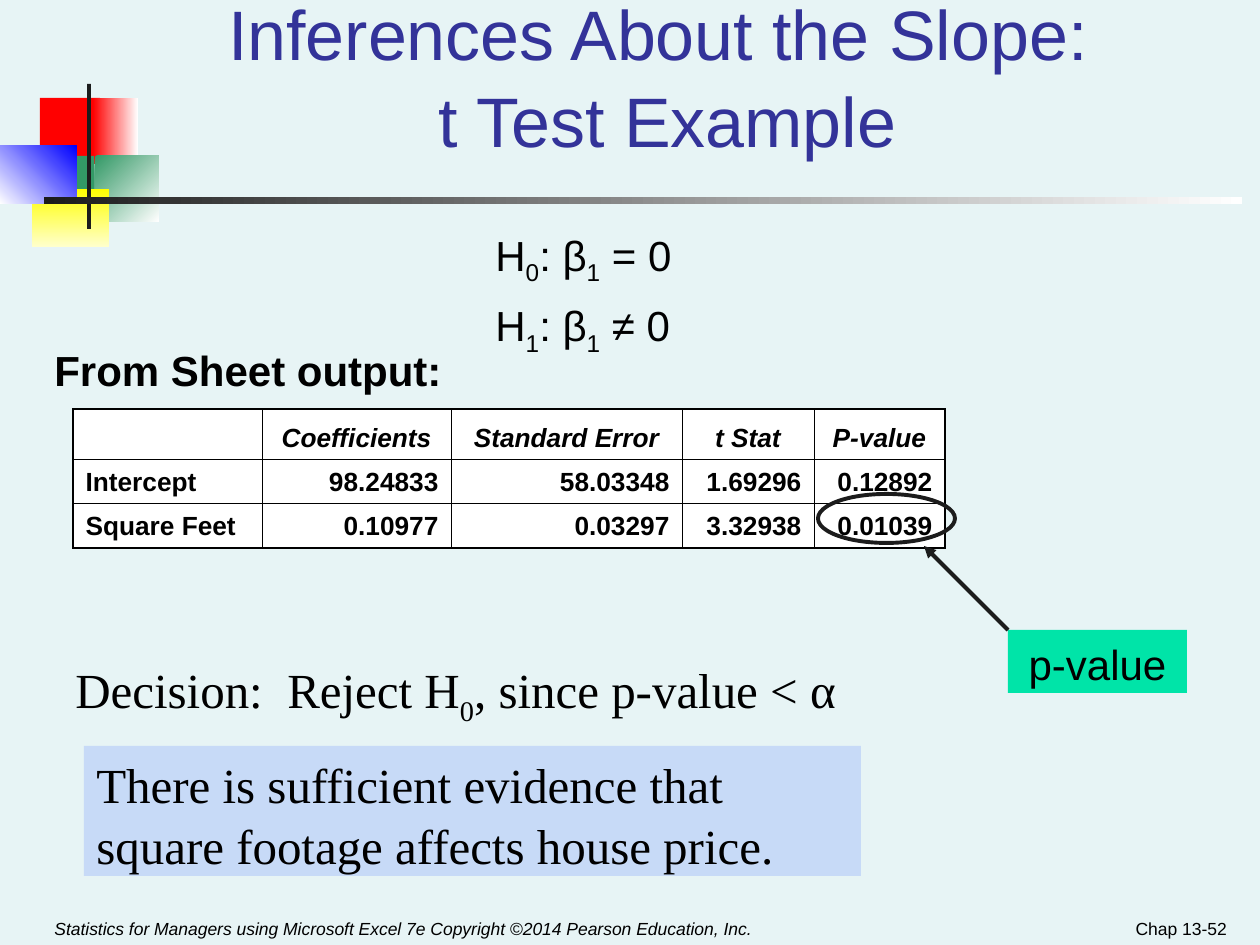
import lxml.etree
import pptx
import pptx.dml.color
import pptx.enum.shapes
import pptx.enum.text
import pptx.oxml
import pptx.oxml.ns
import pptx.util

PX = 914400 / 126
COLORS = {
    "background": "E7F4F5", "title": "333399", "text": "000000", "dark": "1C1C1C",
    "white": "FFFFFF", "red": "FF0000", "green": "339966", "yellow": "FFFF00",
    "cream": "FFFFCC", "blue": "0000FF", "mint": "00E4A8", "pale blue": "C7DAF7",
}
RGB = {name: pptx.dml.color.RGBColor.from_string(code) for name, code in COLORS.items()}
ALIGN = pptx.enum.text.PP_ALIGN
ANCHOR = pptx.enum.text.MSO_ANCHOR
SHAPE = pptx.enum.shapes.MSO_SHAPE


def box(*px):
    """Turn pixel lengths into EMU."""
    return [pptx.util.Emu(round(n * PX)) for n in px]


def write(tf, text, size=24, font="Arial", color="text", bold=False, italic=False,
          align=ALIGN.LEFT, anchor=ANCHOR.TOP, before=0, spacing=1.04):
    """Fill a text frame: \\n starts a paragraph, \\v breaks a line, ~x~ is a subscript."""
    tf.word_wrap = True
    tf.vertical_anchor = anchor
    for i, line in enumerate(text.split("\n")):
        p = tf.add_paragraph() if i else tf.paragraphs[0]
        p.alignment = align
        p.line_spacing = spacing
        p.space_before = pptx.util.Pt(before if i else 0)
        for j, row in enumerate(line.split("\v")):
            if j:
                p.add_line_break()
            for k, part in enumerate(row.split("~")):
                r = p.add_run()
                r.text = part
                r.font.size = pptx.util.Pt(size)
                r.font.name = font
                r.font.bold = bold
                r.font.italic = italic
                r.font.color.rgb = RGB[color]
                if k % 2:
                    r.font._element.set("baseline", "-25000")


prs = pptx.Presentation()
prs.slide_width, prs.slide_height = box(1260, 945)
s = prs.slides.add_slide(prs.slide_layouts[6])
s.background.fill.solid()
s.background.fill.fore_color.rgb = RGB["background"]

# Filled rectangles: position, fill colours (two make a gradient), gradient angle
ornaments = [
    ((40, 98, 60, 66), ["red"], 0),
    ((93, 98, 45, 66), ["red", "white"], 0),
    ((95, 156, 64, 66), ["green", "white"], 315),
    ((54, 156, 40, 66), ["green"], 0),
    ((32, 189, 77, 58), ["yellow", "cream"], 270),
    ((0, 146, 77, 58), ["white", "blue"], 45),
    ((87, 84, 4, 145), ["dark"], 0),
    ((44, 197, 1198, 7), ["dark", "white"], 0),
]
callouts = [
    ((1008, 630, 179, 63), ["mint"], 0),
    ((84, 746, 777, 130), ["pale blue"], 0),
]
rects = []
for place, fills, angle in ornaments + callouts:
    sp = s.shapes.add_shape(SHAPE.RECTANGLE, *box(*place))
    sp.shadow.inherit = False
    sp.line.fill.background()
    if len(fills) == 1:
        sp.fill.solid()
        sp.fill.fore_color.rgb = RGB[fills[0]]
    else:
        sp.fill.gradient()
        sp.fill.gradient_angle = angle
        for stop, name in zip(sp.fill.gradient_stops, fills):
            stop.color.rgb = RGB[name]
    rects.append(sp)
write(rects[-2].text_frame, "p-value", align=ALIGN.CENTER)
write(rects[-1].text_frame,
      "There is sufficient evidence that square footage affects house price.",
      size=28, font="Times New Roman")

texts = [
    ((159, 32, 1017, 136), "Inferences About the Slope: \vt Test Example",
     dict(size=40, color="title", align=ALIGN.CENTER, anchor=ANCHOR.BOTTOM)),
    ((483, 221, 284, 136), "H~0~: β~1~ = 0\nH~1~: β~1~ ≠ 0", dict(before=6)),
    ((42, 336, 505, 63), "From Sheet output:", dict(bold=True)),
    ((63, 651, 819, 79), "Decision:  Reject H~0~, since p-value < α",
     dict(size=28, font="Times New Roman")),
    ((42, 892, 735, 53),
     "Statistics for Managers using Microsoft Excel 7e Copyright ©2014 Pearson Education, Inc.",
     dict(size=10, italic=True, anchor=ANCHOR.BOTTOM)),
    ((945, 901, 294, 44), "Chap 13-52",
     dict(size=10, align=ALIGN.RIGHT, anchor=ANCHOR.BOTTOM)),
]
for place, text, style in texts:
    write(s.shapes.add_textbox(*box(*place)).text_frame, text, **style)

# Regression table
rows = [
    ["", "Coefficients", "Standard Error", "t Stat", "P-value"],
    ["Intercept", "98.24833", "58.03348", "1.69296", "0.12892"],
    ["Square Feet", "0.10977", "0.03297", "3.32938", "0.01039"],
]
widths = [189, 189, 231, 132, 131]
last_row, last_col = len(rows) - 1, len(widths) - 1
table = s.shapes.add_table(len(rows), len(widths), *box(73, 409, sum(widths), 132)).table
for col, width in zip(table.columns, box(*widths)):
    col.width = width
for i, row in enumerate(rows):
    table.rows[i].height = box(44)[0]
    for j, text in enumerate(row):
        cell = table.cell(i, j)
        align = ALIGN.CENTER if i == 0 else ALIGN.RIGHT if j else ALIGN.LEFT
        write(cell.text_frame, text, size=15, bold=True, italic=i == 0, align=align, spacing=1)
        cell.vertical_anchor = ANCHOR.BOTTOM
        edges = {"L": j == 0, "R": j == last_col, "T": i == 0, "B": i == last_row}
        tcPr = cell._tc.get_or_add_tcPr()
        for side, outer in edges.items():
            ln = lxml.etree.SubElement(tcPr, pptx.oxml.ns.qn(f"a:ln{side}"),
                                       w=str(pptx.util.Pt(1.08 if outer else 0.45)))
            fill = lxml.etree.SubElement(ln, pptx.oxml.ns.qn("a:solidFill"))
            lxml.etree.SubElement(fill, pptx.oxml.ns.qn("a:srgbClr"), val=COLORS["text"])
        cell.fill.solid()
        cell.fill.fore_color.rgb = RGB["white"]

# Ring around the p-value and the arrow to it
ring = s.shapes.add_shape(SHAPE.OVAL, *box(818, 494, 137, 49))
ring.shadow.inherit = False
ring.fill.background()
arrow = s.shapes.add_connector(pptx.enum.shapes.MSO_CONNECTOR.STRAIGHT,
                               *box(1008, 630, 924, 546))
for sp in (ring, arrow):
    sp.line.color.rgb = RGB["dark"]
    sp.line.width = pptx.util.Pt(2.25)
lxml.etree.SubElement(arrow.line._get_or_add_ln(), pptx.oxml.ns.qn("a:tailEnd"), type="triangle")
lxml.etree.SubElement(arrow._element.spPr, pptx.oxml.ns.qn("a:effectLst"))

prs.save("out.pptx")
